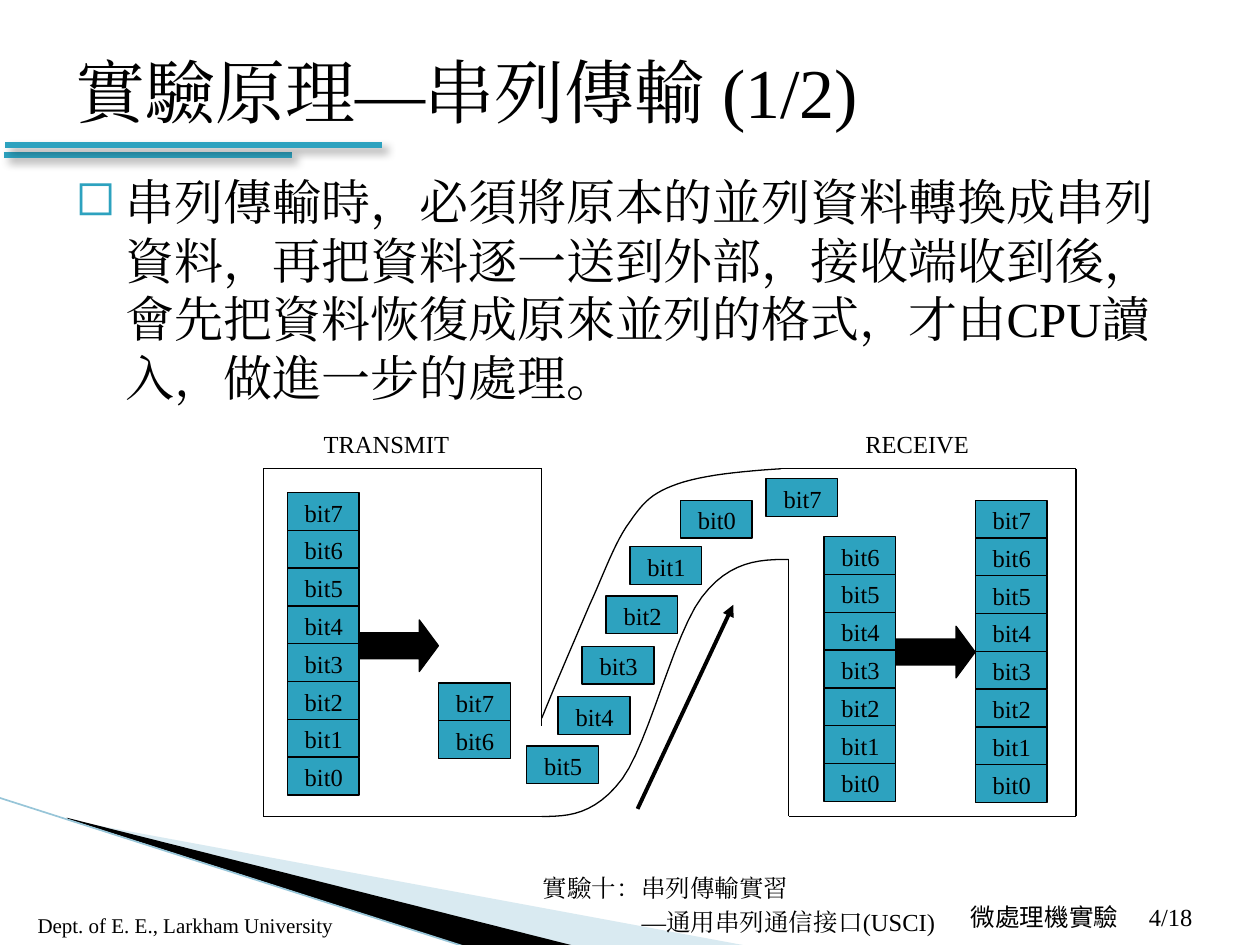
from pptx import Presentation
from pptx import util as u
from pptx.dml import color
from pptx.enum import shapes, text
from pptx.oxml import parse_xml
from pptx.oxml import ns

HUES = {"ink": "000000", "teal": "2DA2BF", "mist": "A0CBDC", "edge": "97C5D8"}
SERIF, SANS = "Times New Roman", "Noto Sans CJK SC"
LEFT, RIGHT, MID = text.PP_ALIGN.LEFT, text.PP_ALIGN.RIGHT, text.PP_ALIGN.CENTER
STEP = 0.3

STACKS = [
    (2.28, 3.91, range(7, -1, -1)),
    (3.48, 5.42, (7, 6)),
    (7.74, 3.97, range(7, -1, -1)),
    (6.54, 4.26, range(6, -1, -1)),
]
STREAM = [(4.18, 5.92, 5), (4.43, 5.53, 4), (4.62, 5.13, 3), (4.81, 4.73, 2),
          (5, 4.34, 1), (5.4, 3.97, 0), (6.08, 3.8, 7)]
WALLS = [
    (2.09, 6.48, 2.09, 3.72), (4.3, 3.72, 2.09, 3.72), (8.54, 6.48, 6.26, 6.48),
    (8.54, 6.48, 8.54, 3.72), (6.26, 6.48, 6.26, 4.44), (8.54, 3.72, 6.2, 3.72),
    (4.3, 6.48, 2.09, 6.48), (4.3, 5.76, 4.3, 3.72),
]
LOWER = [(4.3, 6.48), (4.51, 6.48), (4.72, 6.47), (4.94, 6.18), (5.15, 5.89),
         (5.35, 5.03), (5.57, 4.74), (5.79, 4.45), (6.03, 4.44), (6.26, 4.44)]
UPPER = [(4.3, 5.7), (4.43, 5.38), (4.57, 5.06), (4.68, 4.8), (4.8, 4.54),
         (4.88, 4.3), (5, 4.14), (5.11, 3.98), (5.18, 3.91), (5.38, 3.84),
         (5.58, 3.77), (5.89, 3.74), (6.2, 3.72)]


def rgb(hue):
    """Return the named colour."""
    return color.RGBColor.from_string(HUES[hue])


def node(tag, inner="", attrs=""):
    """Return a drawing element made from a tag, attributes and content."""
    return parse_xml(f'<a:{tag} {ns.nsdecls("a")} {attrs}>{inner}</a:{tag}>')


def paint(shape, fill=None, line="ink", width=0.75):
    """Set the fill and outline of a shape."""
    shape.shadow.inherit = False
    if fill:
        shape.fill.solid()
        shape.fill.fore_color.rgb = rgb(fill)
    else:
        shape.fill.background()
    if line:
        shape.line.color.rgb = rgb(line)
        shape.line.width = u.Pt(width)
    else:
        shape.line.fill.background()


def label(slide, at, rows, size=14, font=SERIF, wrap=False, mid=False, aligns=(LEFT,), gap=0):
    """Add a text box with one paragraph for each row."""
    box = slide.shapes.add_textbox(*map(u.Inches, at))
    frame = box.text_frame
    anchor = text.MSO_ANCHOR.MIDDLE if mid else text.MSO_ANCHOR.TOP
    form = {"word_wrap": wrap, "vertical_anchor": anchor}
    for key, value in form.items():
        setattr(frame, key, value)
    for i, row in enumerate(rows):
        para = frame.paragraphs[0] if i == 0 else frame.add_paragraph()
        para.alignment = aligns[i]
        para.space_before = u.Pt(gap)
        run = para.add_run()
        run.text = row
        for key, value in {"size": u.Pt(size), "name": font}.items():
            setattr(run.font, key, value)
        run.font.color.rgb = rgb("ink")
        run.font._element.append(node("ea", attrs=f'typeface="{font}"'))
    return box


def bullet(box):
    """Give the first paragraph a hanging square bullet."""
    props = box.text_frame.paragraphs[0]._p.get_or_add_pPr()
    props.set("marL", str(u.Inches(0.4)))
    props.set("indent", str(u.Inches(-0.4)))
    props.append(node("buClr", f'<a:srgbClr val="{HUES["teal"]}"/>'))
    props.append(node("buChar", attrs='char="◻"'))


def rule(slide, ends, hue="ink", width=0.75, head=False, glow=False):
    """Add a straight line, with an arrowhead or a soft shadow if asked."""
    line = slide.shapes.add_connector(shapes.MSO_CONNECTOR.STRAIGHT, *map(u.Inches, ends))
    line.line.color.rgb = rgb(hue)
    line.line.width = u.Pt(width)
    if head:
        line.line._get_or_add_ln().append(node("tailEnd", attrs='type="triangle"'))
    shade = (f'<a:outerShdw blurRad="{u.Pt(5)}" dist="{u.Pt(4)}" dir="2700000">'
             '<a:srgbClr val="000000"><a:alpha val="40000"/></a:srgbClr></a:outerShdw>')
    line._element.spPr.append(node("effectLst", shade if glow else ""))


def trace(slide, dots, shut=False):
    """Add an outline through the points."""
    spots = [(u.Inches(x), u.Inches(y)) for x, y in dots]
    pen = slide.shapes.build_freeform(*spots[0])
    pen.add_line_segments(spots[1:], close=shut)
    return pen.convert_to_shape()


def bend(knots, steps=12):
    """Return points along a chain of cubic curves."""
    dots = [knots[0]]
    for i in range(0, len(knots) - 1, 3):
        part = knots[i:i + 4]
        for n in range(1, steps + 1):
            t = n / steps
            mix = ((1 - t) ** 3, 3 * t * (1 - t) ** 2, 3 * t * t * (1 - t), t ** 3)
            dots.append(tuple(sum(m * p[k] for m, p in zip(mix, part)) for k in (0, 1)))
    return dots


def cell(slide, left, top, bit):
    """Add one bit box with its label."""
    box = slide.shapes.add_shape(shapes.MSO_SHAPE.RECTANGLE,
                                 *map(u.Inches, (left, top, 0.57, STEP)))
    paint(box, "teal")
    label(slide, (left + 0.04, top - 0.01, 0.51, 0.34), [f"bit{bit}"])


def arrow(slide, left, top):
    """Add a block arrow pointing right."""
    block = slide.shapes.add_shape(shapes.MSO_SHAPE.RIGHT_ARROW,
                                   *map(u.Inches, (left, top, 0.63, 0.41)))
    block.adjustments[1] = 0.37
    paint(block, "ink")


def frame(slide):
    """Add the page furniture: rules, corner wedges and footer."""
    label(slide, (9.02, 7.11, 0.84, 0.33), ["4/18"], wrap=True, mid=True)
    rule(slide, (0.03, 1.23, 2.32, 1.23), "teal", 3, glow=True)
    rule(slide, (0.04, 1.15, 3.03, 1.15), "teal", 3, glow=True)
    pale = trace(slide, [(0.55, 6.51), (5.95, 7.51), (4.56, 7.51), (0.55, 6.5)], True)
    paint(pale, "mist", None)
    tint = pale._element.spPr.find(ns.qn("a:solidFill"))[0]
    tint.append(node("alpha", attrs='val="40000"'))
    dark = trace(slide, [(0.53, 6.49), (4.57, 7.51), (3.72, 7.52), (0.54, 6.5)], True)
    paint(dark, "ink", None)
    rule(slide, (-0.01, 6.33, 3.71, 7.52), "edge", 0.95)
    label(slide, (0.2, 7.19, 2.6, 0.3), ["Dept. of E. E., Larkham University"],
          size=12, wrap=True, mid=True)
    label(slide, (4.21, 6.88, 3.31, 0.62), ["實驗十：串列傳輸實習", "—通用串列通信接口(USCI)"],
          wrap=True, aligns=(LEFT, RIGHT), gap=2.8)
    label(slide, (7.6, 7.11, 1.38, 0.34), ["微處理機實驗"], font=SANS, aligns=(MID,))


def chart(slide):
    """Add the serial transfer diagram."""
    for ends in WALLS:
        rule(slide, ends)
    for knots in (LOWER, UPPER):
        paint(trace(slide, bend(knots)))
    for left, top, bits in STACKS:
        for i, bit in enumerate(bits):
            cell(slide, left, top + i * STEP, bit)
    for left, top, bit in STREAM:
        cell(slide, left, top, bit)
    rule(slide, (5.06, 6.42, 5.82, 4.8), width=2.25, head=True)
    arrow(slide, 2.85, 4.92)
    arrow(slide, 7.11, 4.97)
    label(slide, (2.47, 3.36, 1.2, 0.34), ["TRANSMIT"])
    label(slide, (6.77, 3.36, 1.03, 0.34), ["RECEIVE"])


def main():
    """Build and save the slide."""
    deck = Presentation()
    deck.slide_width, deck.slide_height = u.Inches(10), u.Inches(7.5)
    slide = deck.slides.add_slide(deck.slide_layouts[6])
    frame(slide)
    body = ("串列傳輸時，必須將原本的並列資料轉換成串列資料，再把資料逐一送到外部，"
            "接收端收到後，會先把資料恢復成原來並列的格式，才由CPU讀入，做進一步的處理。")
    bullet(label(slide, (0.5, 1.31, 9, 5.26), [body], size=28, wrap=True, gap=4))
    label(slide, (0.5, 0.21, 9, 1.01), ["實驗原理—串列傳輸 (1/2)"], size=40, wrap=True, mid=True)
    chart(slide)
    deck.save("out.pptx")


if __name__ == "__main__":
    main()
